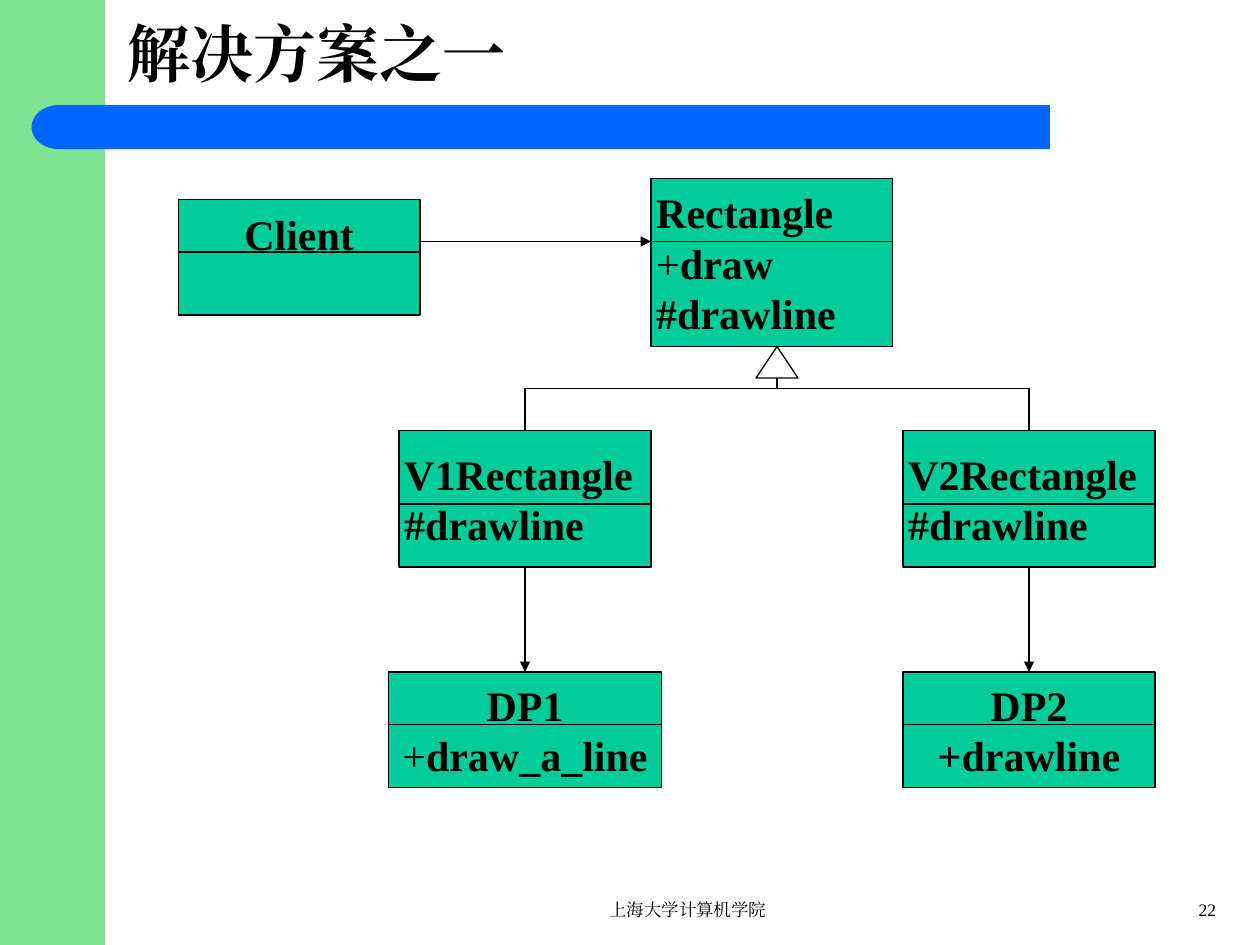
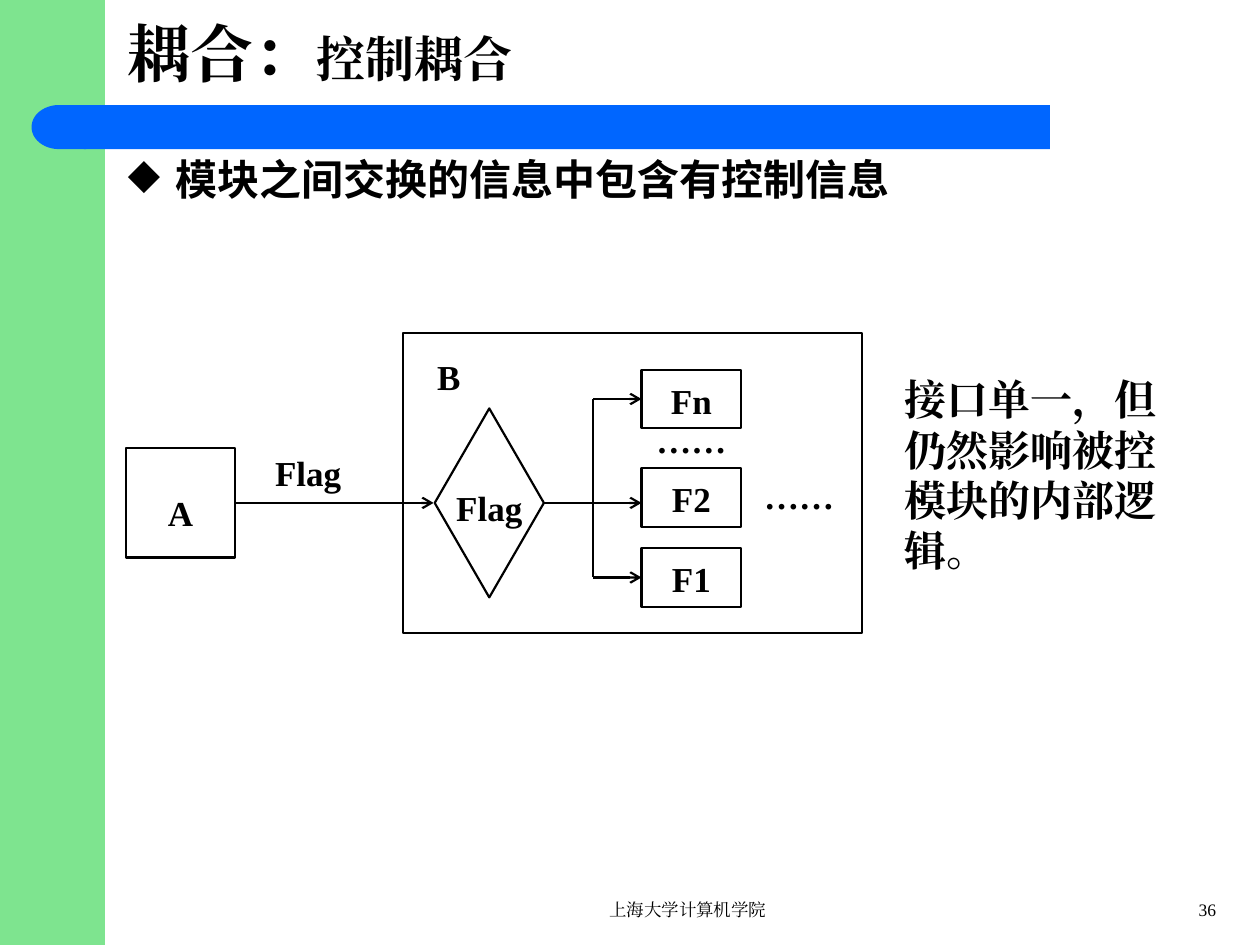
"""Build two slides on class design and control coupling."""
from lxml.etree import SubElement
from pptx import Presentation
from pptx.dml.color import RGBColor
from pptx.enum.shapes import MSO_CONNECTOR as Link, MSO_SHAPE as Kind
from pptx.enum.text import MSO_ANCHOR as Anchor, PP_ALIGN as Align
from pptx.oxml.ns import qn
from pptx.util import Pt

SCALE = 7620
BLACK, WHITE = "000000", "FFFFFF"
GREEN, BLUE, TEAL = "7EE48F", "0066FF", "00CC99"
SERIF, SANS = "Times New Roman", "Noto Sans CJK SC"
LEFT, MID, RIGHT = Align.LEFT, Align.CENTER, Align.RIGHT


def px(*vals):
    """Turn lengths in px into EMU."""
    return [round(v * SCALE) for v in vals]


def color(code):
    """Turn a hex string into a colour."""
    return RGBColor.from_string(code)


def write(shape, *paras, size=20, bold=True, font=SERIF, align=MID, anchor=Anchor.TOP,
          pad=(12, 6), gap=None, bullet=None):
    """Fill a shape with paragraphs, each a string or a list of (text, format) runs."""
    frame = shape.text_frame
    frame.word_wrap = True
    frame.vertical_anchor = anchor
    side, top = px(*pad)
    frame.margin_left = frame.margin_right = side
    frame.margin_top = frame.margin_bottom = top
    for i, runs in enumerate(paras):
        para = frame.add_paragraph() if i else frame.paragraphs[0]
        para.alignment = align
        if gap:
            para.line_spacing = gap
        if bullet:
            props = para._p.get_or_add_pPr()
            indent, = px(45)
            props.set("marL", str(indent))
            props.set("indent", str(-indent))
            SubElement(props, qn("a:buChar"), char=bullet)
        for words, style in [(runs, {})] if isinstance(runs, str) else runs:
            run = para.add_run()
            run.text = words
            face = run.font
            face.name = font
            face.size = Pt(style.get("size", size))
            face.bold = style.get("bold", bold)
            face.color.rgb = color(BLACK)
            SubElement(run._r.get_or_add_rPr(), qn("a:ea"), typeface=font)


def shape(slide, kind, box, fill=None, line=None):
    """Add a flat preset shape."""
    item = slide.shapes.add_shape(kind, *px(*box))
    item.shadow.inherit = False
    if fill:
        item.fill.solid()
        item.fill.fore_color.rgb = color(fill)
    else:
        item.fill.background()
    if line:
        item.line.color.rgb = color(BLACK)
        item.line.width = Pt(line)
    else:
        item.line.fill.background()
    return item


def label(slide, box, *paras, **style):
    """Add a text box."""
    write(slide.shapes.add_textbox(*px(*box)), *paras, **style)


def link(slide, x1, y1, x2, y2, width=0.75, head=None):
    """Add a line, with an arrowhead at its end if one is named."""
    item = slide.shapes.add_connector(Link.STRAIGHT, *px(x1, y1, x2, y2))
    item.line.color.rgb = color(BLACK)
    item.line.width = Pt(width)
    if head:
        SubElement(item.line._get_or_add_ln(), qn("a:tailEnd"), type=head)
    SubElement(item._element.spPr, qn("a:effectLst"))


def base(deck, title, number):
    """Add a slide with side band, title bar, title and footer."""
    slide = deck.slides.add_slide(deck.slide_layouts[6])
    shape(slide, Kind.RECTANGLE, (0, 0, 100, 900), GREEN)
    shape(slide, Kind.RECTANGLE, (80, 100, 920, 42), BLUE)
    shape(slide, Kind.FLOWCHART_DELAY, (30, 100, 52, 42), BLUE).rotation = 180
    label(slide, (110, 0, 1040, 100), title, size=36, align=LEFT, anchor=Anchor.MIDDLE)
    label(slide, (450, 850, 410, 30), "上海大学计算机学院", size=10, bold=False)
    label(slide, (1080, 850, 90, 30), number, size=10, bold=False, align=RIGHT)
    return slide


def entity(slide, box, split, *rows, align=LEFT, anchor=Anchor.MIDDLE, top=2):
    """Add a class box with a rule below its name."""
    x, y, w, h = box
    item = shape(slide, Kind.RECTANGLE, box, TEAL, 0.75)
    write(item, *rows, size=24, align=align, anchor=anchor, pad=(5, top))
    link(slide, x, y + split, x + w, y + split)


def branch(slide, mid, top, cols):
    """Join a parent class to its children below."""
    bus = top + 40
    shape(slide, Kind.ISOSCELES_TRIANGLE, (mid - 20, top, 40, 30), WHITE, 0.75)
    link(slide, mid, top + 30, mid, bus)
    link(slide, cols[0], bus, cols[-1], bus)
    for x in cols:
        link(slide, x, bus, x, bus + 40)


def classes(deck):
    """Build the class diagram slide."""
    slide = base(deck, "解决方案之一", "22")
    plus = ("+", {"bold": False})
    entity(slide, (170, 190, 230, 110), 50, "Client", align=MID, anchor=Anchor.TOP, top=9)
    entity(slide, (620, 170, 230, 160), 60, "Rectangle", [plus, ("draw", {})], "#drawline")
    link(slide, 400, 230, 620, 230, head="triangle")
    cols = 500, 980
    branch(slide, 740, 330, cols)
    calls = (260, [plus, ("draw_a_line", {})]), (240, "+drawline")
    for i, (x, (wide, call)) in enumerate(zip(cols, calls), 1):
        entity(slide, (x - 120, 410, 240, 130), 70, f"V{i}Rectangle", "#drawline")
        entity(slide, (x - wide // 2, 640, wide, 110), 50, f"DP{i}", call, align=MID)
        link(slide, x, 540, x, 640, head="triangle")


def module(slide, x, y, w, h):
    """Draw module B, which picks a function by its flag."""
    axis, bus, left = y + 162, x + 181, x + 227
    label(slide, (x + 1, y - 27, 85, 95), "B", pad=(2, 1), gap=2.2)
    shape(slide, Kind.DIAMOND, (x + 30, axis - 90, 104, 180), line=1.25)
    label(slide, (x + 30, axis - 29, 104, 68), "Flag", pad=(7, 1), gap=1.3)
    for name, top, row in ("Fn", 35, 63), ("F2", 129, 162), ("F1", 205, 233):
        item = shape(slide, Kind.RECTANGLE, (left, y + top, 95, 56), WHITE, 1.25)
        write(item, name, pad=(12, 1), gap=1.2)
        start = x + 134 if y + row == axis else bus
        link(slide, start, y + row, left, y + row, 1.25, "arrow")
    link(slide, bus, y + 63, bus, y + 233, 1.25)
    label(slide, (left, y + 81, 95, 52), "……", pad=(2, 1))
    label(slide, (x + 332, y + 129, 140, 78), "……", align=LEFT)
    shape(slide, Kind.RECTANGLE, (x, y, w, h), line=1.25)


def control(deck):
    """Build the control coupling slide."""
    slide = base(deck, [("耦合：", {}), ("控制耦合", {"size": 28})], "36")
    label(slide, (110, 140, 1070, 690), "模块之间交换的信息中包含有控制信息",
          size=24, font=SANS, align=LEFT, bullet="◆")
    caller = shape(slide, Kind.RECTANGLE, (120, 427, 104, 104), WHITE, 1.25)
    write(caller, "A", pad=(12, 1), gap=2)
    module(slide, 384, 317, 437, 286)
    link(slide, 224, 479, 413, 479, 1.25, "arrow")
    label(slide, (260, 413, 85, 66), "Flag", align=LEFT, pad=(2, 1), gap=1.4)
    label(slide, (850, 350, 270, 204), "接口单一，但仍然影响被控模块的内部逻辑。",
          size=24, align=LEFT)


def main():
    """Build and save the deck."""
    deck = Presentation()
    deck.slide_width, deck.slide_height = px(1200, 900)
    classes(deck)
    control(deck)
    deck.save("out.pptx")


if __name__ == "__main__":
    main()
